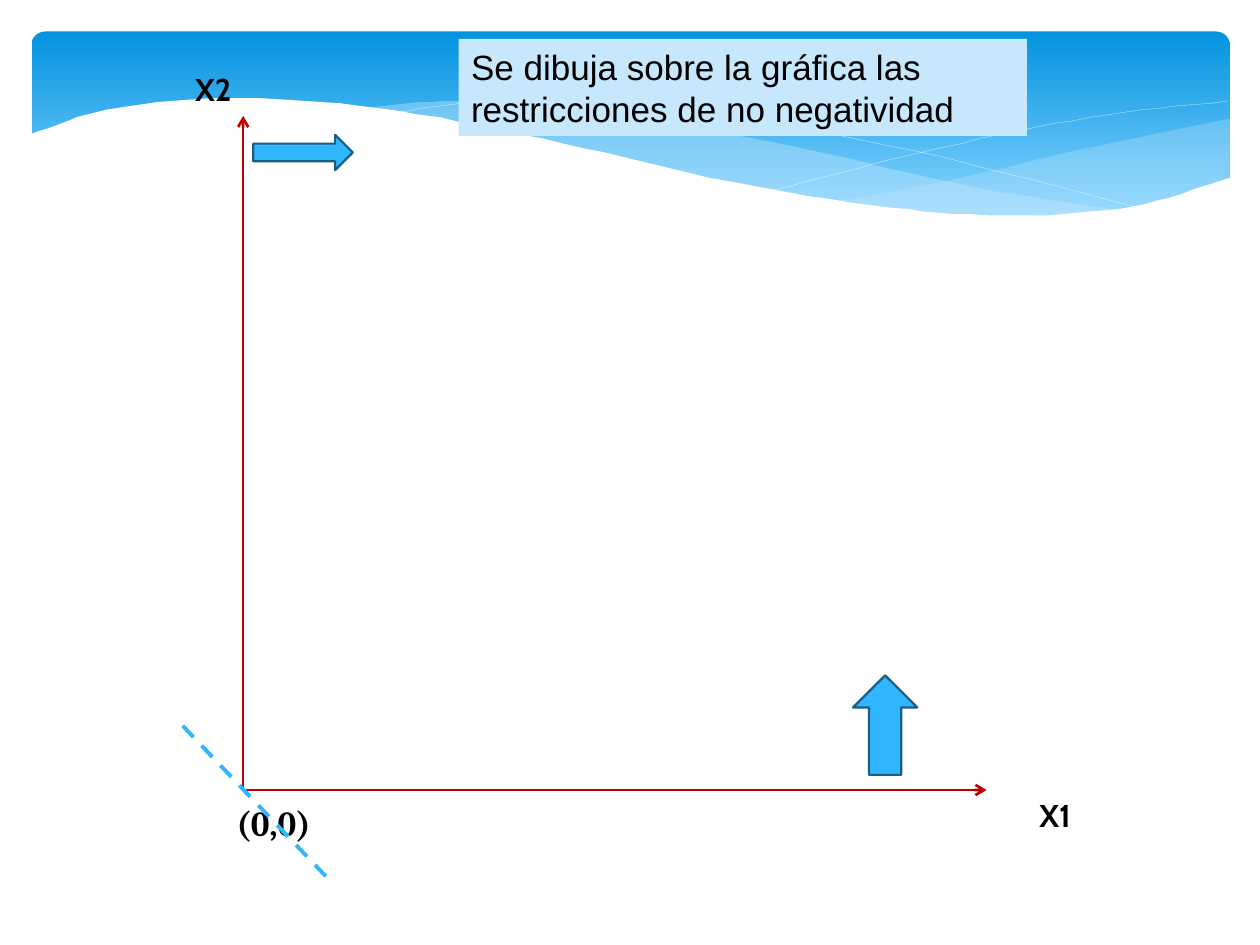
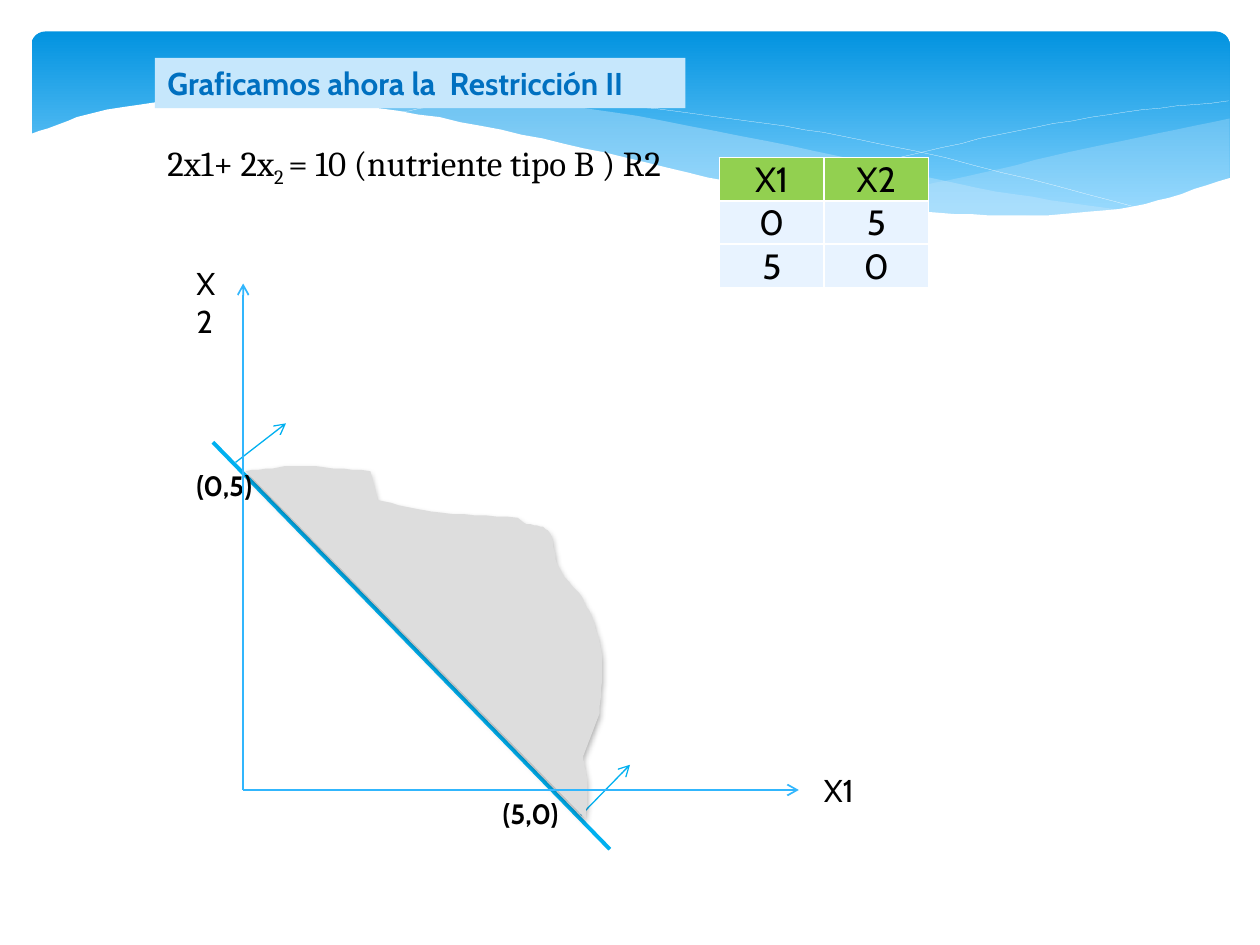
from itertools import accumulate, pairwise
from math import dist

from lxml.etree import SubElement
from pptx import Presentation
from pptx.dml.color import RGBColor
from pptx.enum.dml import MSO_LINE as Dash
from pptx.enum.shapes import MSO_CONNECTOR as Connector, MSO_SHAPE as Shape
from pptx.enum.text import MSO_ANCHOR as Anchor, MSO_AUTO_SIZE as AutoSize, PP_ALIGN as Align
from pptx.oxml.ns import qn
from pptx.util import Pt

SCALE = 9144  # EMU in one px, 100 px to the inch
SLIDE_WIDTH, SLIDE_HEIGHT = 1000, 750

WHITE, BLACK = "FFFFFF", "000000"
BAND_TOP, BAND_BOTTOM = "0293E0", "83D3FE"
PALE_BLUE, SKY, CYAN = "C6E7FC", "31B6FD", "00B0F0"
ARROW_EDGE, AXIS_RED, TITLE_BLUE = "195F84", "C00000", "0070C0"
HEAD_GREEN, CELL_BLUE, REGION_GREY = "92D050", "E8F3FF", "DDDDDD"

LABEL_FONT, TITLE_FONT, MATH_FONT = "Cabin", "Arial", "Cambria"
HAIRLINE = 0.1
CURVE_STEPS = 8  # straight pieces between two knots of a curve

ORIGIN_X, ORIGIN_Y = ORIGIN = (193, 627)


def px(length):
    return round(length * SCALE)


def rgb(hex_color):
    return RGBColor.from_string(hex_color)


def smooth(*knots):
    """Points of a smooth curve (cubic Hermite, by chord length) through the knots."""
    reach = list(accumulate((dist(a, b) for a, b in pairwise(knots)), initial=0))
    last = len(knots) - 1

    def slope(index, axis):
        before, after = max(index - 1, 0), min(index + 1, last)
        return (knots[after][axis] - knots[before][axis]) / (reach[after] - reach[before])

    def between(index, t, axis):
        start, end = knots[index][axis], knots[index + 1][axis]
        chord = reach[index + 1] - reach[index]
        ease = t * t * (3 - 2 * t)
        leave = t * (1 - t) ** 2 * chord * slope(index, axis)
        arrive = t * t * (t - 1) * chord * slope(index + 1, axis)
        return start + (end - start) * ease + leave + arrive

    points = [(between(index, step / CURVE_STEPS, 0), between(index, step / CURVE_STEPS, 1))
              for index in range(last) for step in range(CURVE_STEPS)]
    return points + [knots[-1]]


def paint(shape, fill=None, line=None, width=HAIRLINE, alpha=None):
    shape.shadow.inherit = False
    if fill:
        shape.fill.solid()
        shape.fill.fore_color.rgb = rgb(fill)
        if alpha:
            color = next(shape._element.spPr.iter(qn("a:srgbClr")))
            SubElement(color, qn("a:alpha"), val=str(alpha * 1000))
    else:
        shape.fill.background()
    if line:
        shape.line.color.rgb = rgb(line)
        shape.line.width = Pt(width)
    else:
        shape.line.fill.background()


def add_outline(slide, points, closed=True, **look):
    builder = slide.shapes.build_freeform(*points[0], scale=SCALE)
    builder.add_line_segments(points[1:], close=closed)
    outline = builder.convert_to_shape()
    paint(outline, **look)
    return outline


def add_gradient_band(slide):
    band = slide.shapes.add_shape(Shape.ROUNDED_RECTANGLE, px(25), px(25), px(951), px(156))
    band.adjustments[0] = 0.07
    paint(band)
    band.fill.gradient()
    band.fill.gradient_angle = 270
    stops = zip(band.fill.gradient_stops, (0, 0.9), (BAND_TOP, BAND_BOTTOM))
    for stop, position, color in stops:
        stop.position = position
        stop.color.rgb = rgb(color)


def add_wave_band(slide):
    """Blue band with two pale ribbons and two threads, cut off by a white wave."""
    add_gradient_band(slide)

    right_crest = smooth((661, 160), (753, 143), (861, 118), (976, 94))
    right_trough = smooth((661, 160), (769, 171), (835, 172), (905, 163), (976, 141))
    middle_crest = smooth((286, 86), (361, 80), (465, 86), (629, 116), (775, 149), (893, 167))
    middle_trough = smooth((286, 86), (449, 116), (566, 143), (665, 161), (773, 172), (893, 167))
    ribbons = ((right_crest, right_trough, 29), (middle_crest, middle_trough, 40))
    for crest, trough, alpha in ribbons:
        add_outline(slide, crest + trough[::-1], fill=PALE_BLUE, alpha=alpha)

    falling_thread = smooth((309, 90), (374, 82), (489, 84), (608, 98), (727, 120), (907, 166))
    rising_thread = smooth((613, 151), (748, 117), (866, 93), (975, 80))
    for thread in (falling_thread, rising_thread):
        add_outline(slide, thread, closed=False, line=WHITE)

    left, right, bottom = 23, 977, 224
    page_edge = smooth((left, 107), (85, 87), (193, 78), (316, 88), (447, 114),
                       (579, 144), (708, 165), (809, 171), (899, 164), (right, 141))
    add_outline(slide, page_edge + [(right, bottom), (left, bottom)], fill=WHITE)


def add_line(slide, start, end, color, width, arrow=False, dash=None):
    line = slide.shapes.add_connector(Connector.STRAIGHT, *map(px, start + end))
    line.line.color.rgb = rgb(color)
    line.line.width = Pt(width)
    if dash:
        line.line.dash_style = dash
    properties = line._element.spPr
    if arrow:
        SubElement(properties.find(qn("a:ln")), qn("a:tailEnd"), type="arrow")
    SubElement(properties, qn("a:effectLst"))


def add_axes(slide, x_end, y_end, color, width):
    for end in ((x_end, ORIGIN_Y), (ORIGIN_X, y_end)):
        add_line(slide, ORIGIN, end, color, width, arrow=True)


def add_run(paragraph, text, size, font, color=BLACK, bold=False, baseline=0):
    run = paragraph.add_run()
    run.text = text
    run.font.size = Pt(size)
    run.font.name = font
    run.font.bold = bold
    run.font.color.rgb = rgb(color)
    if baseline:
        run._r.get_or_add_rPr().set("baseline", str(baseline * 1000))


def add_text(slide, box, text, size, font=LABEL_FONT, fill=None, wrap=False, **style):
    """Add a text box and return its paragraph, open for more runs."""
    label = slide.shapes.add_textbox(*map(px, box))
    if fill:
        label.fill.solid()
        label.fill.fore_color.rgb = rgb(fill)
    frame = label.text_frame
    frame.word_wrap = wrap
    frame.auto_size = AutoSize.SHAPE_TO_FIT_TEXT
    add_run(frame.paragraphs[0], text, size, font, **style)
    return frame.paragraphs[0]


def add_block_arrow(slide, kind, box):
    arrow = slide.shapes.add_shape(kind, *map(px, box))
    paint(arrow, SKY, ARROW_EDGE, 1.25)


def add_borders(cell):
    properties = cell._tc.get_or_add_tcPr()
    for index, side in enumerate(("lnL", "lnR", "lnT", "lnB")):
        border = properties.makeelement(qn(f"a:{side}"), {"w": str(Pt(1))})
        fill = SubElement(border, qn("a:solidFill"))
        SubElement(fill, qn("a:srgbClr"), val=WHITE)
        properties.insert(index, border)


def add_points_table(slide, left, top, column_width, row_height, rows):
    columns = len(rows[0])
    table = slide.shapes.add_table(
        len(rows), columns, px(left), px(top),
        px(column_width * columns), px(row_height * len(rows))).table
    for row_index, row in enumerate(rows):
        for column_index, value in enumerate(row):
            cell = table.cell(row_index, column_index)
            cell.fill.solid()
            cell.fill.fore_color.rgb = rgb(CELL_BLUE if row_index else HEAD_GREEN)
            cell.margin_left = cell.margin_right = cell.margin_top = px(1)
            cell.margin_bottom = 0
            cell.vertical_anchor = Anchor.MIDDLE
            paragraph = cell.text_frame.paragraphs[0]
            paragraph.alignment = Align.CENTER
            add_run(paragraph, value, 20, LABEL_FONT)
            add_borders(cell)


def add_feasible_region(slide):
    """Grey area above the constraint line, with a ragged outer edge."""
    hump = smooth((195, 374), (237, 370), (294, 374))
    shelf = smooth((300, 397), (342, 406), (411, 411))
    shoulder = smooth((416, 415), (435, 421), (442, 447))
    flank = smooth((448, 458), (463, 476), (477, 515), (476, 566))
    foot = smooth((463, 600), (466, 623), (465, 650))
    region = add_outline(slide, hump + shelf + shoulder + flank + foot, fill=REGION_GREY)

    effects = region._element.spPr.find(qn("a:effectLst"))
    shadow = SubElement(effects, qn("a:outerShdw"), blurRad=str(Pt(3.5)),
                        dist=str(Pt(2.2)), dir="5400000", rotWithShape="0")
    color = SubElement(shadow, qn("a:srgbClr"), val=BLACK)
    SubElement(color, qn("a:alpha"), val="32000")


def build_non_negativity(slide):
    add_wave_band(slide)
    add_axes(slide, 783, 92, AXIS_RED, 1.5)
    add_block_arrow(slide, Shape.UP_ARROW, (677, 536, 51, 79))
    add_block_arrow(slide, Shape.RIGHT_ARROW, (201, 107, 79, 28))
    for axis_name, left, top in (("X1", 815, 627), ("X2", 145, 51)):
        add_text(slide, (left, top, 50, 40), axis_name, 18, bold=True)
    add_text(slide, (364, 31, 451, 77),
             "Se dibuja sobre la gráfica las restricciones de no negatividad",
             20, TITLE_FONT, fill=PALE_BLUE, wrap=True)
    add_text(slide, (178, 631, 83, 44), "(0,0)", 20, MATH_FONT, bold=True)
    add_line(slide, (145, 576), (261, 698), SKY, 2.25, dash=Dash.DASH)


def build_second_constraint(slide):
    add_wave_band(slide)
    add_text(slide, (123, 46, 421, 40), "Graficamos ahora la  Restricción II",
             18, fill=PALE_BLUE, color=TITLE_BLUE, bold=True)
    equation = add_text(slide, (123, 107, 445, 44), "2x1+ 2x", 20, MATH_FONT)
    add_run(equation, "2 ", 20, MATH_FONT, baseline=-25)
    add_run(equation, "= 10 (nutriente tipo B ) R2", 20, MATH_FONT)
    add_points_table(slide, 571, 125, 83, 34, [("X1", "X2"), ("0", "5"), ("5", "0")])
    add_text(slide, (644, 607, 48, 40), "X1", 18)
    add_text(slide, (146, 205, 44, 40), "X2", 18, wrap=True)
    add_line(slide, (169, 351), (484, 674), CYAN, 2.25)
    for start, end in (((187, 367), (227, 336)), ((461, 647), (500, 607))):
        add_line(slide, start, end, CYAN, 0.75, arrow=True)
    for intercept, left, top in (("(5,0)", 389, 627), ("(0,5)", 146, 367)):
        add_text(slide, (left, top, 71, 37), intercept, 16, bold=True)
    add_feasible_region(slide)
    add_axes(slide, 634, 225, SKY, 1)


def main():
    deck = Presentation()
    deck.slide_width, deck.slide_height = px(SLIDE_WIDTH), px(SLIDE_HEIGHT)
    blank = deck.slide_layouts[6]
    for build in (build_non_negativity, build_second_constraint):
        build(deck.slides.add_slide(blank))
    deck.save("out.pptx")


if __name__ == "__main__":
    main()
